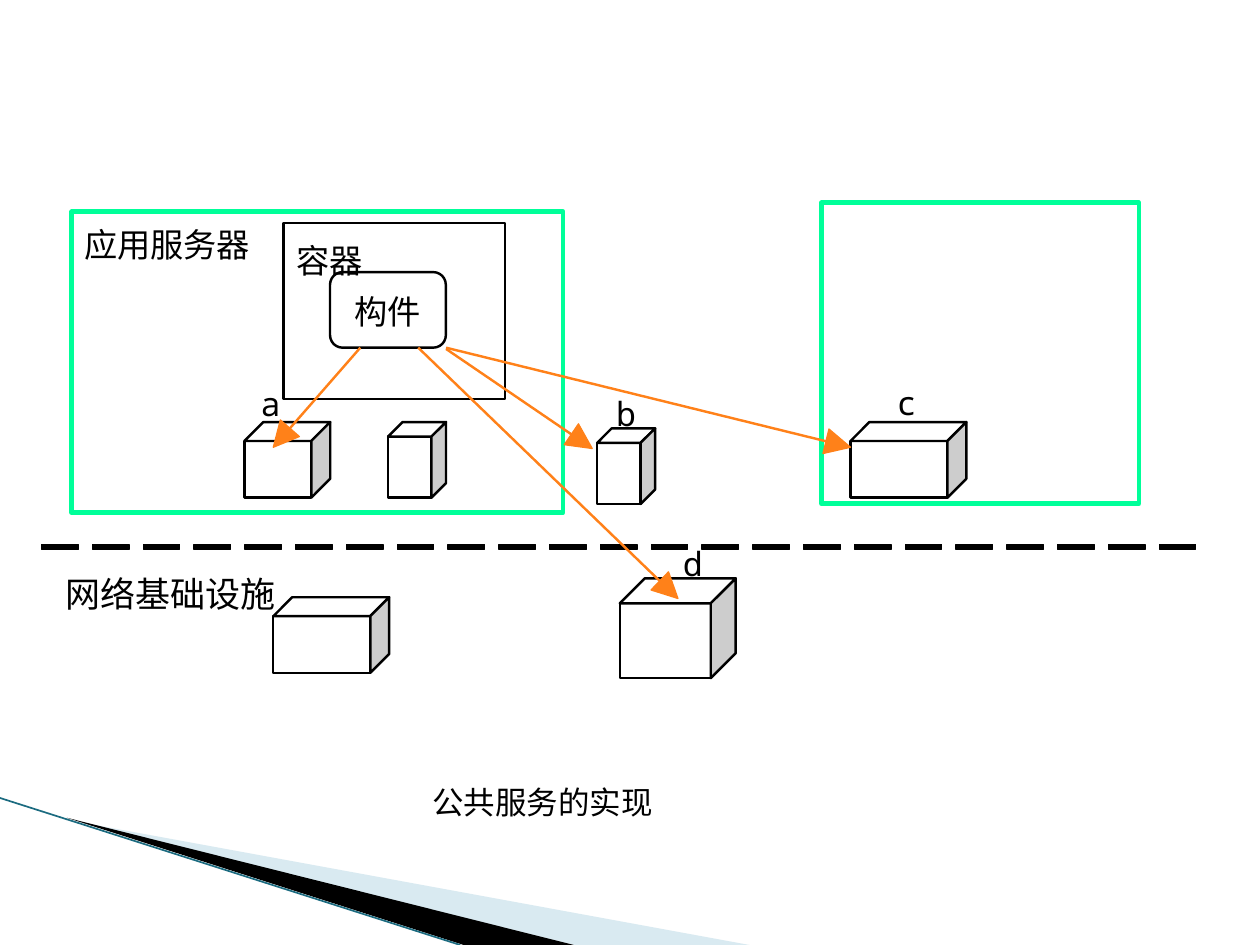
"""Build a slide on how shared services are reached from a component."""
import math
import lxml.etree
import pptx
import pptx.dml.color
import pptx.enum.shapes
import pptx.enum.text
import pptx.oxml.ns
import pptx.util

Pt = pptx.util.Pt
KIND = pptx.enum.shapes.MSO_SHAPE
LINK = pptx.enum.shapes.MSO_CONNECTOR
BLACK, WHITE, GREY = "000000", "FFFFFF", "CDCDCD"
GREEN, ORANGE, TEAL, PALE = "00FF99", "FF8119", "1B6B80", "A0CBDC"
MONO, HAN = "Noto Sans Mono", "Noto Sans CJK SC"


def tint(code):
    """Turn a hex string into a colour."""
    return pptx.dml.color.RGBColor.from_string(code)


def put(item, vals):
    """Set attributes of an item from a dict."""
    for key, val in vals.items():
        setattr(item, key, val)


def sub(node, tag, **vals):
    """Add a drawing element under a node."""
    return lxml.etree.SubElement(node, pptx.oxml.ns.qn(tag), **vals)


def paint(shape, fill, line=None, width=1.38):
    """Give a shape a fill and an optional outline."""
    shape.shadow.inherit = False
    shape.fill.solid()
    shape.fill.fore_color.rgb = tint(fill)
    if line:
        shape.line.color.rgb = tint(line)
        shape.line.width = Pt(width)
    else:
        shape.line.fill.background()
    return shape


def box(shapes, kind, area, *look):
    """Add a preset shape."""
    return paint(shapes.add_shape(kind, *map(Pt, area)), *look)


def poly(shapes, dots, *look):
    """Add a closed outline through the given points."""
    first, *rest = [(Pt(x), Pt(y)) for x, y in dots]
    build = shapes.build_freeform(*first)
    build.add_line_segments(rest, close=True)
    return paint(build.convert_to_shape(), *look)


def rule(shapes, start, end, color, width):
    """Add a straight line."""
    line = shapes.add_connector(LINK.STRAIGHT, *map(Pt, start + end))
    line.line.color.rgb = tint(color)
    line.line.width = Pt(width)
    sub(line.element.spPr, "a:effectLst")


def cube(slide, left, top, wide, high):
    """Add a block with a front, a top and a shaded side."""
    shapes = slide.shapes.add_group_shape().shapes
    deep = min(wide, high) / 4
    right, base = left + wide, top + high
    edge, brow = right - deep, top + deep
    faces = [
        ([(left, brow), (edge, brow), (edge, base), (left, base)], WHITE),
        ([(left, brow), (left + deep, top), (right, top), (edge, brow)], WHITE),
        ([(edge, brow), (right, top), (right, base - deep), (edge, base)], GREY),
    ]
    for dots, fill in faces:
        poly(shapes, dots, fill, BLACK)


def arrow(slide, start, tip, size=14.4):
    """Add a line with a large solid head."""
    shapes = slide.shapes.add_group_shape().shapes
    turn = math.atan2(tip[1] - start[1], tip[0] - start[0])
    dx, dy = size * math.cos(turn), size * math.sin(turn)
    x, y = tip[0] - dx, tip[1] - dy
    rule(shapes, start, (x, y), ORANGE, 1.38)
    head = [(x - dy / 2, y + dx / 2), tip, (x + dy / 2, y - dx / 2)]
    poly(shapes, head, ORANGE, ORANGE, 0.75)


def label(slide, text, area, font=HAN, size=19, inset=(0, 0), wrap=False):
    """Add a line of text."""
    frame = slide.shapes.add_textbox(*map(Pt, area)).text_frame
    side, edge = map(Pt, inset)
    put(frame, {
        "margin_left": side, "margin_right": side,
        "margin_top": edge, "margin_bottom": edge,
        "word_wrap": wrap,
        "auto_size": pptx.enum.text.MSO_AUTO_SIZE.SHAPE_TO_FIT_TEXT,
    })
    run = frame.paragraphs[0].add_run()
    run.text = text
    put(run.font, {"name": font, "size": Pt(size)})
    run.font.color.rgb = tint(BLACK)
    sub(run.font._element, "a:ea", typeface=HAN)


def decor(slide):
    """Add the wedges in the lower left corner."""
    wedge = poly(slide.shapes, [(39.6, 468.7), (428.4, 540), (328.3, 540)], PALE)
    color = wedge.element.spPr.find(".//" + pptx.oxml.ns.qn("a:srgbClr"))
    sub(color, "a:alpha", val="40000")
    poly(slide.shapes, [(38.2, 467.3), (328, 540), (265, 540)], BLACK)
    rule(slide.shapes, (0, 456), (263, 540), TEAL, 0.95)


def dashes(slide):
    """Add the row of bars above the network layer."""
    shapes = slide.shapes.add_group_shape().shapes
    for step in range(23):
        area = (23.8 + 29.03 * step, 311, 20.9, 2.9)
        box(shapes, KIND.RECTANGLE, area, BLACK, BLACK, 0.75)


def main():
    """Build and save the slide."""
    deck = pptx.Presentation()
    put(deck, {"slide_width": Pt(720), "slide_height": Pt(540)})
    slide = deck.slides.add_slide(deck.slide_layouts[6])
    decor(slide)

    shapes = slide.shapes
    for area, line, width in [
        ((41, 121, 280.8, 172), GREEN, 2.63),
        ((162, 127.4, 126.7, 100.8), BLACK, 1.38),
        ((469.4, 115.9, 181.4, 172), GREEN, 2.63),
    ]:
        box(shapes, KIND.RECTANGLE, area, WHITE, line, width)
    part = (188.6, 155.5, 66.2, 43.2)
    box(shapes, KIND.ROUNDED_RECTANGLE, part, WHITE, BLACK)
    dashes(slide)

    for area in [
        (139.7, 241.2, 49, 43.2),
        (221.8, 241.2, 33.1, 43.2),
        (486, 241.2, 66.2, 43.2),
        (156.2, 341.3, 66.2, 43.2),
        (354.2, 330.5, 66.2, 57),
        (341.3, 244.8, 33.1, 43.2),
    ]:
        cube(slide, *area)

    for start, tip in [
        ((205.9, 198.7), (156.2, 255.6)),
        ((254.9, 198.7), (486, 255.6)),
        ((239, 198.7), (387.4, 342)),
        ((254.9, 199.4), (338.4, 256.3)),
    ]:
        arrow(slide, start, tip)

    for text, area in [
        ("a", (149, 218.9, 16.6, 28)),
        ("b", (352.1, 224.6, 9.4, 23)),
        ("c", (512.6, 218.2, 16.6, 28)),
        ("d", (390.2, 310.3, 9.4, 23)),
    ]:
        label(slide, text, area, MONO)
    for text, area in [
        ("构件", (202.3, 166.3, 49.7, 22.3)),
        ("容器", (169.2, 137.5, 49.7, 22.3)),
        ("应用服务器", (48.2, 128.2, 109.4, 22.3)),
    ]:
        label(slide, text, area)
    label(slide, "网络基础设施", (37.4, 326.9, 141.1, 23.8), size=20, wrap=True)
    label(slide, "公共服务的实现", (239.8, 444.2, 190, 36), MONO, 18, (7.2, 3.6))
    deck.save("out.pptx")


if __name__ == "__main__":
    main()
